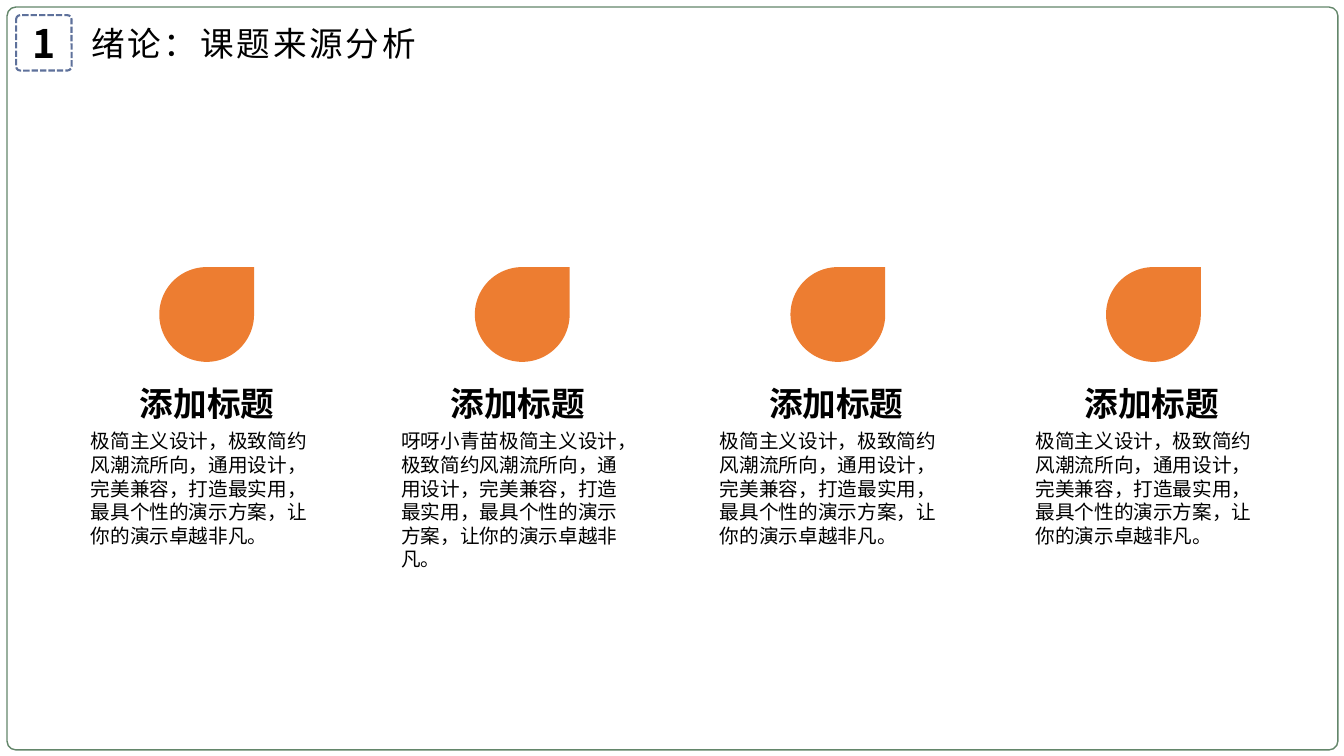
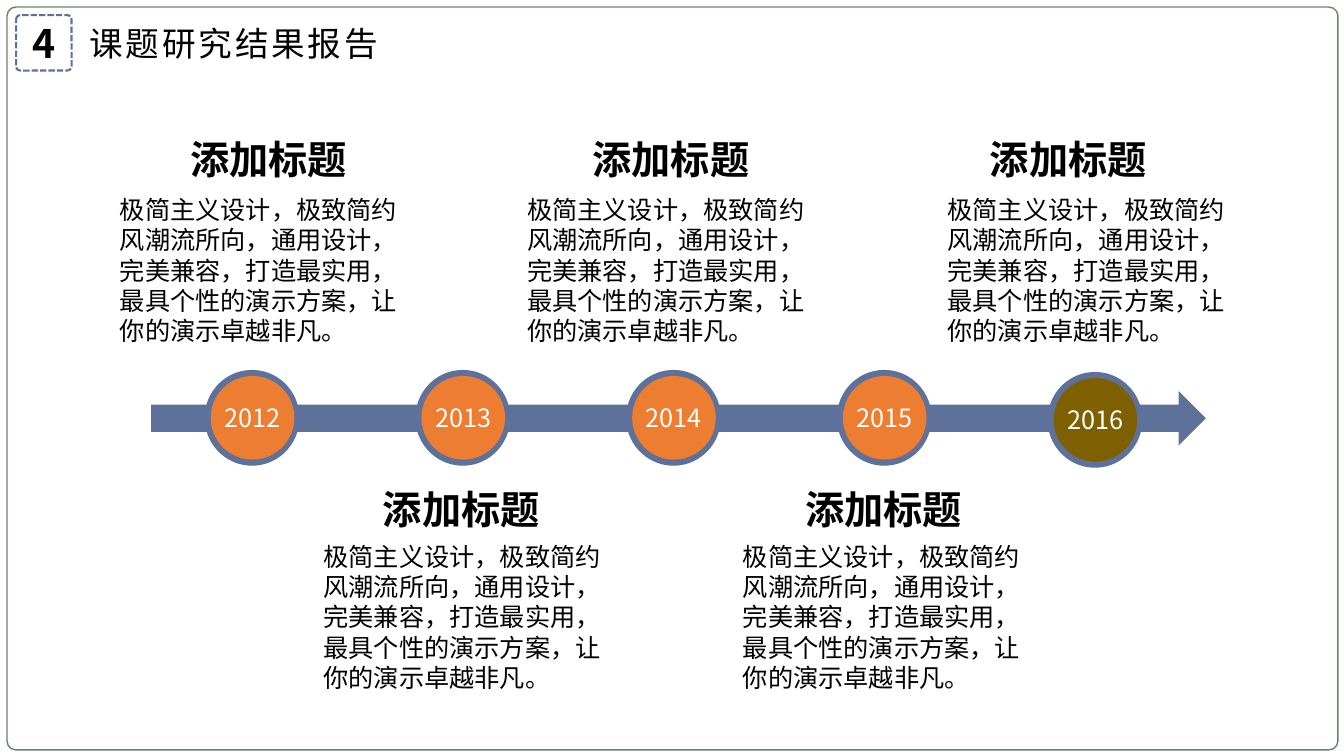
from dataclasses import dataclass

from lxml import etree
from pptx import Presentation
from pptx.dml.color import RGBColor
from pptx.enum.dml import MSO_LINE
from pptx.enum.shapes import MSO_SHAPE
from pptx.enum.text import MSO_ANCHOR, PP_ALIGN
from pptx.oxml.ns import qn
from pptx.util import Emu, Pt

ROUNDED, ELLIPSE = MSO_SHAPE.ROUNDED_RECTANGLE, MSO_SHAPE.OVAL
TEAR, ARROW = MSO_SHAPE.TEAR, MSO_SHAPE.RIGHT_ARROW
DASH = MSO_LINE.SQUARE_DOT
LEFT, CENTER = PP_ALIGN.LEFT, PP_ALIGN.CENTER
TOP, MIDDLE = MSO_ANCHOR.TOP, MSO_ANCHOR.MIDDLE

PX = 9144  # 100 px to the inch
INSET = (10, 5)


@dataclass(frozen=True)
class Theme:
    font: str = "Noto Sans CJK SC"
    ink: str = "000000"
    paper: str = "FFFFFF"
    frame: str = "63866A"
    blue: str = "5E719B"
    orange: str = "ED7D31"
    olive: str = "7F6000"
    number: int = 28
    title: int = 24
    column_heading: int = 24
    column_body: int = 14
    step_heading: int = 28
    step_body: int = 18
    year: int = 18
    leading: float = 1.2


def rgb(value):
    return RGBColor.from_string(value)


def outline(points):
    """Turn corners (x, y) and cubic curves (x1, y1, x2, y2, x, y) into corners."""
    corners = []
    for point in points:
        if len(point) == 2:
            corners.append(point)
            continue
        controls = [corners[-1], point[:2], point[2:4], point[4:]]
        for step in range(1, 9):
            t = step / 8
            weights = ((1 - t) ** 3, 3 * t * (1 - t) ** 2, 3 * t * t * (1 - t), t ** 3)
            corners.append(tuple(sum(w * c[axis] for w, c in zip(weights, controls))
                                 for axis in (0, 1)))
    return corners


class Deck:
    def __init__(self, theme):
        self.theme = theme
        self.presentation = Presentation()
        self.presentation.slide_width = Emu(1333 * PX)
        self.presentation.slide_height = Emu(750 * PX)
        self.slide = None

    def new_slide(self, number, title, title_width):
        """Start a slide with the frame, number box and title."""
        theme = self.theme
        self.slide = self.presentation.slides.add_slide(self.presentation.slide_layouts[6])
        self.shape(ROUNDED, 7, 7, 1320, 737, line=theme.frame, adjust=0.012)
        box = self.shape(ROUNDED, 16, 15, 55, 55, line=theme.blue, weight=1.5,
                         dash=DASH, adjust=0.076)
        self.set_text(box, number, theme.number, bold=True, align=CENTER, anchor=MIDDLE)
        self.text(72, 15, title_width, 55, title, theme.title, align=CENTER,
                  anchor=MIDDLE, inset=INSET, wrap=False, tracking=2)

    def shape(self, kind, left, top, width, height, fill=None, line=None,
              weight=1, dash=None, adjust=None, shapes=None):
        shapes = shapes or self.slide.shapes
        shape = shapes.add_shape(kind, *(Emu(n * PX) for n in (left, top, width, height)))
        if adjust is not None:
            shape.adjustments[0] = adjust
        self.paint(shape, fill, line)
        if line:
            shape.line.width = Pt(weight)
        if dash:
            shape.line.dash_style = dash
        return shape

    def paint(self, shape, fill=None, line=None):
        shape.shadow.inherit = False
        for part, colour in ((shape.fill, fill), (shape.line.fill, line)):
            if colour:
                part.solid()
                part.fore_color.rgb = rgb(colour)
            else:
                part.background()

    def set_text(self, shape, text, size, colour=None, bold=False, align=LEFT,
                 anchor=TOP, inset=(0, 0), wrap=True, tracking=0, leading=None):
        frame = shape.text_frame
        frame.word_wrap = wrap
        frame.vertical_anchor = anchor
        frame.margin_left = frame.margin_right = Emu(inset[0] * PX)
        frame.margin_top = frame.margin_bottom = Emu(inset[1] * PX)
        frame.text = text
        paragraph = frame.paragraphs[0]
        paragraph.alignment = align
        if leading:
            paragraph.line_spacing = Pt(round(size * leading, 1))
        font = paragraph.runs[0].font
        font.size, font.bold, font.name = Pt(size), bold, self.theme.font
        font.color.rgb = rgb(colour or self.theme.ink)
        # East Asian typeface and letter spacing
        properties = paragraph.runs[0]._r.get_or_add_rPr()
        latin = properties.find(qn("a:latin"))
        east_asian = etree.Element(qn("a:ea"))
        east_asian.set("typeface", self.theme.font)
        latin.addnext(east_asian)
        if tracking:
            properties.set("spc", str(tracking * 100))

    def text(self, left, top, width, height, text, size, **style):
        box = self.slide.shapes.add_textbox(*(Emu(n * PX) for n in (left, top, width, height)))
        self.set_text(box, text, size, **style)

    def badge(self, left, top, icon):
        """Group a teardrop with the white outlines of its icon."""
        shapes = self.slide.shapes.add_group_shape().shapes
        self.shape(TEAR, left, top, 94, 94, fill=self.theme.orange, shapes=shapes)
        for contours in icon:
            builder = None
            for contour in contours:
                points = [((left + x) * PX, (top + y) * PX) for x, y in outline(contour)]
                if builder is None:
                    builder = shapes.build_freeform(*points[0], scale=1.0)
                else:
                    builder.move_to(*points[0])
                builder.add_line_segments(points[1:], close=True)
            self.paint(builder.convert_to_shape(), fill=self.theme.paper)

    def milestone(self, left, top, year, fill):
        self.shape(ELLIPSE, left, top, 94, 95, fill=self.theme.blue)
        disc = self.shape(ELLIPSE, left + 6, top + 6, 83, 83, fill=fill)
        self.set_text(disc, year, self.theme.year, colour=self.theme.paper,
                      align=CENTER, anchor=MIDDLE)


# Icon outlines, in px from the corner of the badge
def turned(points, flip_x, flip_y, drop=0):
    """Mirror points in the middle of the 94 px badge, then move them down."""
    return [tuple((94 - n if flip_x else n) if i % 2 == 0
                  else (94 - n if flip_y else n) + drop
                  for i, n in enumerate(point)) for point in points]


WRENCH_HEAD = [
    (56, 43), (57, 44, 58, 44, 59, 44), (64, 44, 68, 40, 68, 35),
    (68, 35, 68, 34, 67, 34), (64, 38, 64, 37, 62, 37), (60, 37, 57, 34, 57, 32),
    (57, 30, 56, 31, 60, 27), (60, 26, 59, 26, 59, 26), (55, 26, 50, 30, 50, 35),
    (50, 36, 50, 37, 51, 38)]
WRENCH = WRENCH_HEAD + turned(WRENCH_HEAD, True, True)
NOTE = [
    (53, 60), (53, 61, 52, 61, 52, 61), (32, 61), (31, 61, 30, 61, 30, 60),
    (30, 40), (30, 39, 31, 39, 32, 39), (49, 39), (53, 35), (32, 35),
    (29, 35, 26, 37, 26, 40), (26, 60), (26, 63, 29, 65, 32, 65), (52, 65),
    (54, 65, 57, 63, 57, 60), (57, 49), (53, 53)]
EDIT_ICON = [
    [NOTE],
    [[(64, 39), (58, 33), (42, 50), (39, 58), (47, 55)],
     [(46, 51), (45, 50), (58, 36), (59, 37)]],
    [[(60, 32), (65, 37), (69, 33), (64, 28)]]]
PENCIL_ICON = [[[(74, 32), (63, 22), (36, 49), (32, 64), (46, 59)],
                [(35, 60), (38, 50), (45, 57)]]]
WRENCH_ICON = [[WRENCH]]
TOOLS_ICON = [
    [[(42, 47), (35, 54), (34, 53), (41, 46), (39, 44), (30, 53), (26, 64),
      (37, 60), (46, 51)]],
    [[(49, 37), (53, 34), (54, 35), (51, 38), (55, 43), (61, 37), (53, 30), (47, 35)]],
    [[(60, 22), (55, 27), (63, 35), (68, 30)]],
    [turned(WRENCH, True, False, drop=-4)]]

HEADING = "添加标题"
BODY = "极简主义设计，极致简约风潮流所向，通用设计，完美兼容，打造最实用，最具个性的演示方案，让你的演示卓越非凡。"


def topic_source(deck):
    theme = deck.theme
    deck.new_slide("1", "绪论：课题来源分析", 359)
    columns = [(90, EDIT_ICON, BODY, 118), (398, PENCIL_ICON, "呀呀小青苗" + BODY, 141),
               (714, WRENCH_ICON, BODY, 118), (1027, TOOLS_ICON, BODY, 118)]
    for index, (left, icon, body, height) in enumerate(columns):
        deck.badge(158 + 313 * index, 265, icon)
        deck.text(left + 41, 380, 149, 40, HEADING, theme.column_heading, bold=True,
                  align=CENTER, leading=theme.leading)
        deck.text(left, 426, 229, height, body, theme.column_body, leading=theme.leading)


def research_results(deck):
    theme = deck.theme
    deck.new_slide("4", "课题研究结果报告", 320)
    # Timeline
    deck.shape(ARROW, 150, 388, 1046, 54, fill=theme.blue)
    for index in range(5):
        last = index == 4
        deck.milestone(203 + 209 * index, 369 if last else 367, str(2012 + index),
                       theme.olive if last else theme.orange)
    # Notes above and below: heading left, body left, body width
    rows = [(129, 188, [(179, 109, 318), (578, 513, 307), (972, 930, 297)]),
            (477, 532, [(370, 311, 296), (789, 727, 310)])]
    for heading_top, body_top, notes in rows:
        for heading_left, body_left, width in notes:
            deck.text(heading_left, heading_top, 177, 57, HEADING, theme.step_heading,
                      bold=True, inset=INSET, wrap=False, leading=theme.leading)
            deck.text(body_left, body_top, width, 162, BODY, theme.step_body,
                      inset=INSET, leading=theme.leading)


def main():
    deck = Deck(Theme())
    topic_source(deck)
    research_results(deck)
    deck.presentation.save("out.pptx")


if __name__ == "__main__":
    main()
